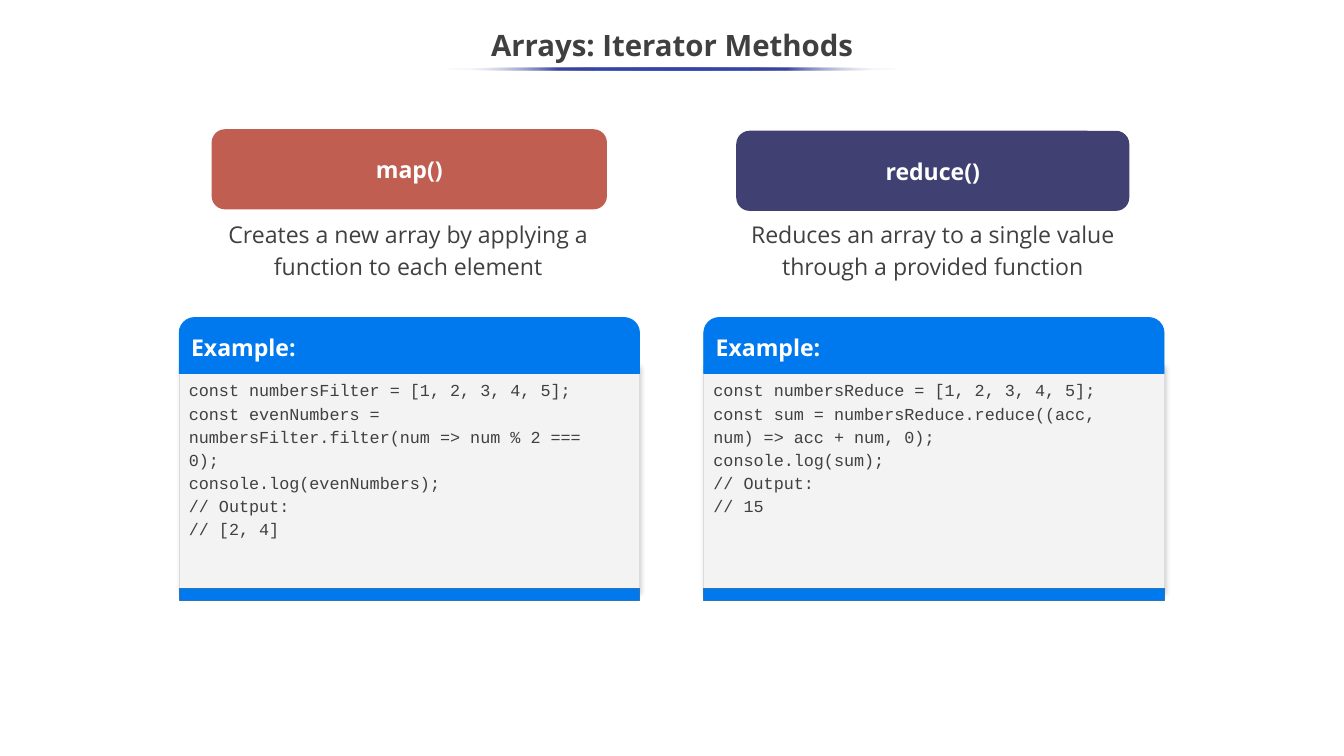
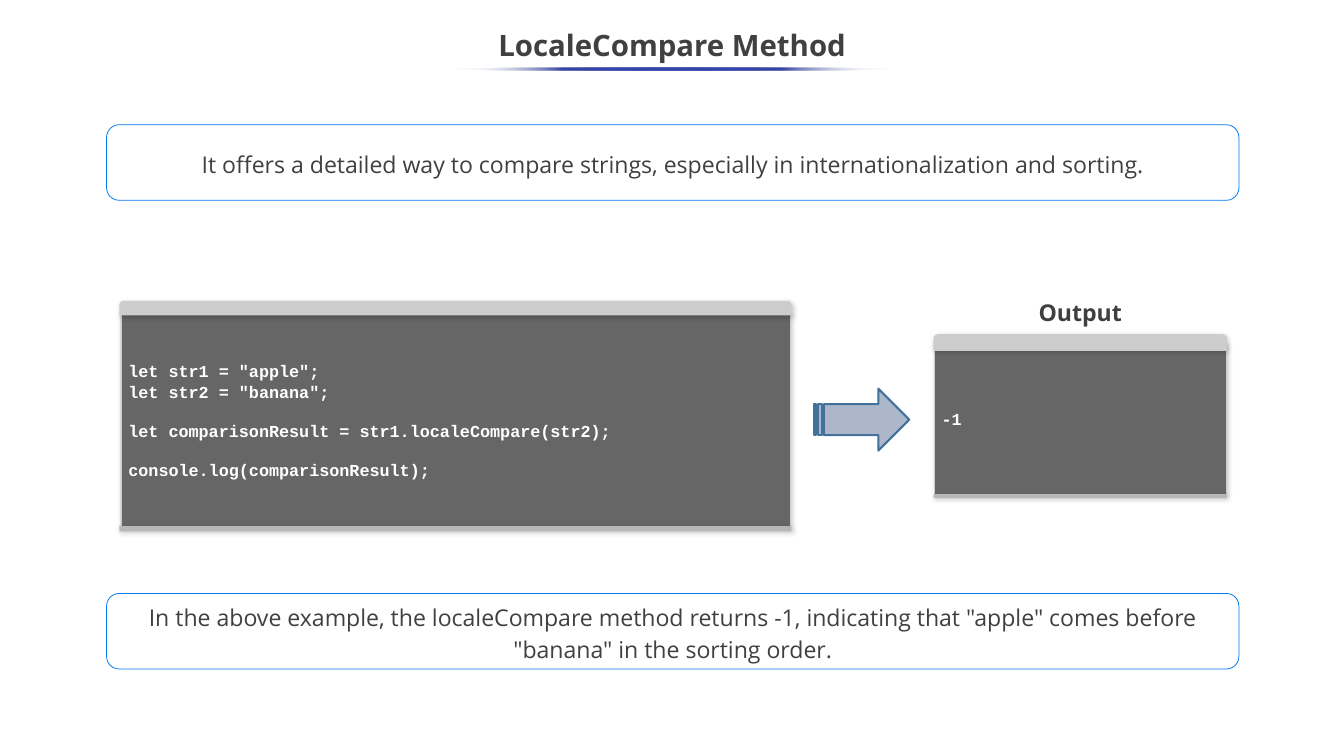
from lxml import etree
from pptx import Presentation
from pptx import util as u
from pptx.dml.color import RGBColor
from pptx.enum import shapes, text
from pptx.oxml import ns

# Shared style
WIDTH, HEIGHT = 17.78, 10
SANS, MONO = "Open Sans", "Courier New"
INK, WHITE, BLUE = "404040", "FFFFFF", "0078EE"
CENTER, LEFT = text.PP_ALIGN.CENTER, text.PP_ALIGN.LEFT
TOP, MIDDLE = text.MSO_ANCHOR.TOP, text.MSO_ANCHOR.MIDDLE
KIND = shapes.MSO_SHAPE
RULE_STOPS = [(0, WHITE, 0), (25, "3645A9", 100), (75, "3645A9", 100), (100, WHITE, 0)]

# Slide 1: one entry per column; badge is top, width, colour
METHODS_TITLE = "Arrays: Iterator Methods"
METHODS = [
    {"name": "map()", "badge": (1.71, 5.23, "C05E51"),
     "about": "Creates a new array by applying a function to each element",
     "code": ["const numbersFilter = [1, 2, 3, 4, 5];",
              "const evenNumbers = numbersFilter.filter(num => num % 2 === 0);",
              "console.log(evenNumbers);", "// Output:", "// [2, 4]"]},
    {"name": "reduce()", "badge": (1.73, 5.2, "404172"),
     "about": "Reduces an array to a single value through a provided function",
     "code": ["const numbersReduce = [1, 2, 3, 4, 5];",
              "const sum = numbersReduce.reduce((acc, num) => acc + num, 0);",
              "console.log(sum);", "// Output:", "// 15"]},
]
COLUMN_LEFT, COLUMN_STEP, COLUMN_WIDTH = 2.37, 6.94, 6.09

# Slide 2
COMPARE_TITLE = "LocaleCompare Method"
NOTES = [
    (1.65, "It offers a detailed way to compare strings, especially in "
           "internationalization and sorting."),
    (7.85, "In the above example, the localeCompare method returns -1, indicating that "
           '"apple" comes before "banana" in the sorting order.'),
]
# Each window: body box, top bar (top, height), foot height, overhang, code blocks
WINDOWS = [
    {"body": (12.36, 4.55, 3.86, 1.99), "bar": (4.42, 0.22), "foot": 0.05,
     "overhang": 0.01, "blocks": [["-1"]]},
    {"body": (1.6, 4.16, 8.85, 2.8), "bar": (3.98, 0.19), "foot": 0.07,
     "overhang": 0.02,
     "blocks": [['let str1 = "apple";', 'let str2 = "banana";'],
                ["let comparisonResult = str1.localeCompare(str2);"],
                ["console.log(comparisonResult);"]]},
]


def color(value):
    return RGBColor.from_string(value)


def child(parent, tag, **attributes):
    return etree.SubElement(parent, ns.qn(tag), {k: str(v) for k, v in attributes.items()})


def add_tint(parent, value, opacity):
    tint = child(parent, "a:srgbClr", val=value)
    child(tint, "a:alpha", val=opacity * 1000)


def add_box(page, kind, at, fill=None, line=None, weight=0.75, shadow=False, adjust=()):
    box = page.shapes.add_shape(kind, *map(u.Inches, at))
    box.shadow.inherit = False
    if fill:
        box.fill.solid()
        box.fill.fore_color.rgb = color(fill)
    else:
        box.fill.background()
    if line:
        box.line.color.rgb = color(line)
        box.line.width = u.Pt(weight)
    else:
        box.line.fill.background()
    for index, value in enumerate(adjust):
        box.adjustments[index] = value
    if shadow:
        effects = box._element.spPr.find(ns.qn("a:effectLst"))
        outer = child(effects, "a:outerShdw", blurRad=u.Pt(4.5), dist=u.Pt(1.5),
                      dir=47 * 60000, algn="tl", rotWithShape=0)
        add_tint(outer, "000000", 20)
    return box


def write(box, lines, size=22, font=SANS, ink=INK, bold=False, align=CENTER,
          anchor=MIDDLE, spacing=None, insets=(0.1, 0.05), gaps=()):
    """Fill a box with paragraphs; gaps maps a line index to its space before."""
    frame = box.text_frame
    frame.auto_size = text.MSO_AUTO_SIZE.NONE
    frame.word_wrap = True
    frame.vertical_anchor = anchor
    frame.margin_left = frame.margin_right = u.Inches(insets[0])
    frame.margin_top = frame.margin_bottom = u.Inches(insets[1])
    for index, line in enumerate(lines):
        para = frame.paragraphs[0] if index == 0 else frame.add_paragraph()
        para.alignment = align
        if spacing:
            para.line_spacing = spacing
        if index in gaps:
            para.space_before = u.Pt(gaps[index])
        span = para.add_run()
        span.text = line
        span.font.name, span.font.size, span.font.bold = font, u.Pt(size), bold
        span.font.color.rgb = color(ink)


def add_label(page, at, lines, **style):
    write(page.shapes.add_textbox(*map(u.Inches, at)), lines, **style)


def add_page(deck, title, rule_width):
    page = deck.slides.add_slide(deck.slide_layouts[5])
    heading = page.shapes.title
    heading.left, heading.top, heading.width, heading.height = map(
        u.Inches, (0, 0.25, WIDTH, 0.75))
    write(heading, [title], size=28, bold=True, spacing=0.9)
    # Fading rule under the title
    rule = add_box(page, KIND.OVAL, ((WIDTH - rule_width) / 2, 0.89, rule_width, 0.04))
    rule.fill.gradient()
    rule.fill.gradient_angle = 0
    stops = rule._element.spPr.find(ns.qn("a:gradFill")).find(ns.qn("a:gsLst"))
    for stop in list(stops):
        stops.remove(stop)
    for position, value, opacity in RULE_STOPS:
        add_tint(child(stops, "a:gs", pos=position * 1000), value, opacity)
    return page


def add_method(page, column, method):
    left = COLUMN_LEFT + column * COLUMN_STEP
    # Name badge and description
    top, width, fill = method["badge"]
    badge = add_box(page, KIND.ROUNDED_RECTANGLE, (left + 0.43, top, width, 1.06), fill)
    write(badge, [method["name"]], ink=WHITE, bold=True, insets=(0.07, 0.03))
    add_label(page, (left + 0.43, 2.81, 5.2, 0.93), [method["about"]],
              anchor=TOP, spacing=1.15)
    # Example card
    add_box(page, KIND.RECTANGLE, (left, 4.84, COLUMN_WIDTH, 2.99),
            "F3F3F3", "DBDBDB", shadow=True)
    header = add_box(page, KIND.ROUND_2_SAME_RECTANGLE, (left, 4.2, COLUMN_WIDTH, 0.74),
                     BLUE, BLUE, adjust=(0.275, 0))
    write(header, ["Example:"], ink=WHITE, bold=True, align=LEFT)
    add_label(page, (left + 0.03, 4.94, 5.89, 2.27), method["code"], size=16, font=MONO,
              align=LEFT, anchor=TOP, spacing=1.15)
    add_box(page, KIND.RECTANGLE, (left, 7.78, COLUMN_WIDTH, 0.16), BLUE, "2E75B5")


def add_window(page, window):
    left, top, width, height = window["body"]
    body = add_box(page, KIND.RECTANGLE, window["body"], "666666", "CCCCCC", shadow=True)
    lines, gaps = [], {}
    for block in window["blocks"]:
        if lines:
            gaps[len(lines)] = 18
        lines += block
    write(body, lines, size=16, font=MONO, ink=WHITE, bold=True, align=LEFT,
          insets=(0.1, 0.1), gaps=gaps)
    # Bar above and foot below, slightly wider than the body
    edge = left - window["overhang"]
    span_width = width + 2 * window["overhang"]
    bar_top, bar_height = window["bar"]
    add_box(page, KIND.ROUND_2_SAME_RECTANGLE, (edge, bar_top, span_width, bar_height),
            "CCCCCC", shadow=True, adjust=(0.275, 0))
    add_box(page, KIND.RECTANGLE, (edge, top + height, span_width, window["foot"]),
            "B7B7B7", shadow=True)


def main():
    deck = Presentation()
    deck.slide_width, deck.slide_height = u.Inches(WIDTH), u.Inches(HEIGHT)

    page = add_page(deck, METHODS_TITLE, 6.01)
    for column, method in enumerate(METHODS):
        add_method(page, column, method)

    page = add_page(deck, COMPARE_TITLE, 5.76)
    for top, note in NOTES:
        box = add_box(page, KIND.ROUNDED_RECTANGLE, (1.41, top, 14.98, 1), line=BLUE)
        write(box, [note], spacing=1.15, insets=(0.1, 0))
    for window in WINDOWS:
        add_window(page, window)
    add_box(page, KIND.STRIPED_RIGHT_ARROW, (10.77, 5.14, 1.26, 0.82),
            "ACB8CA", "42719B", weight=2)
    add_label(page, (13.52, 3.62, 1.54, 1.08), ["Output"], ink="3F3F3F", bold=True,
              spacing=0.9)

    deck.save("out.pptx")


if __name__ == "__main__":
    main()
